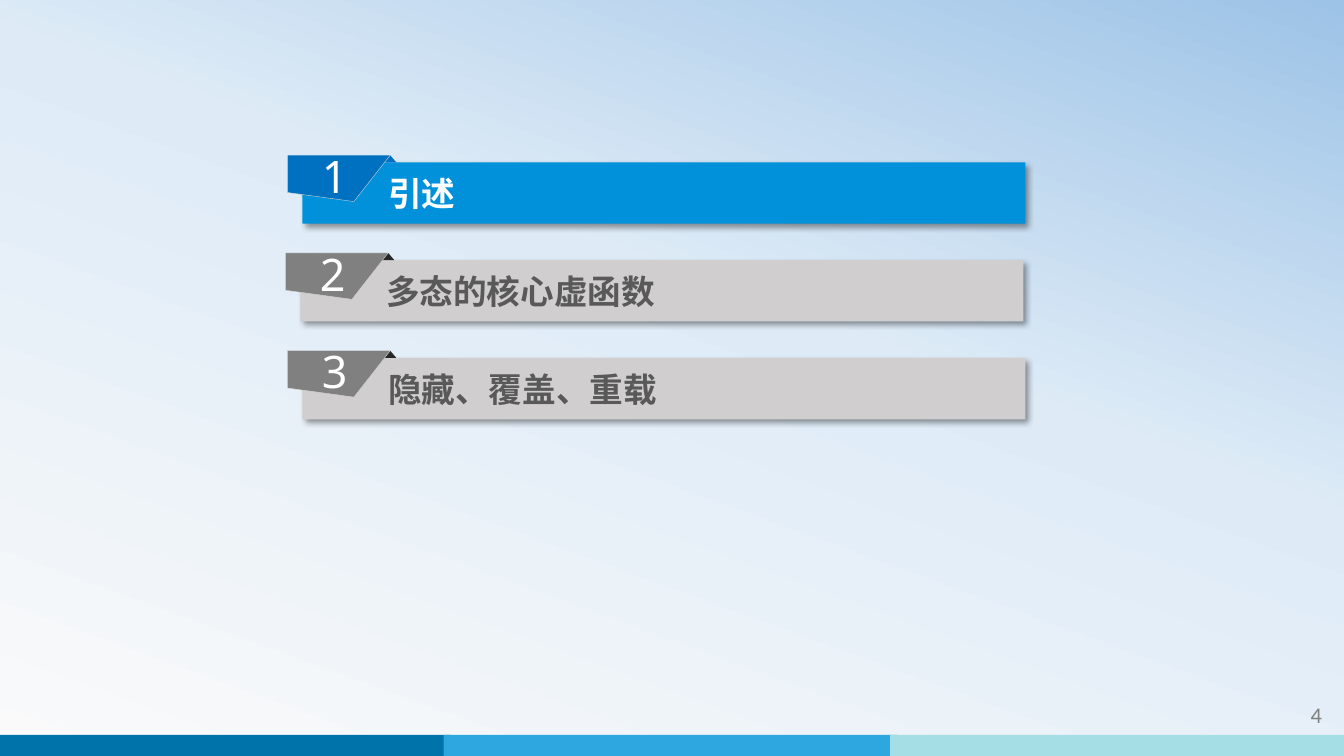
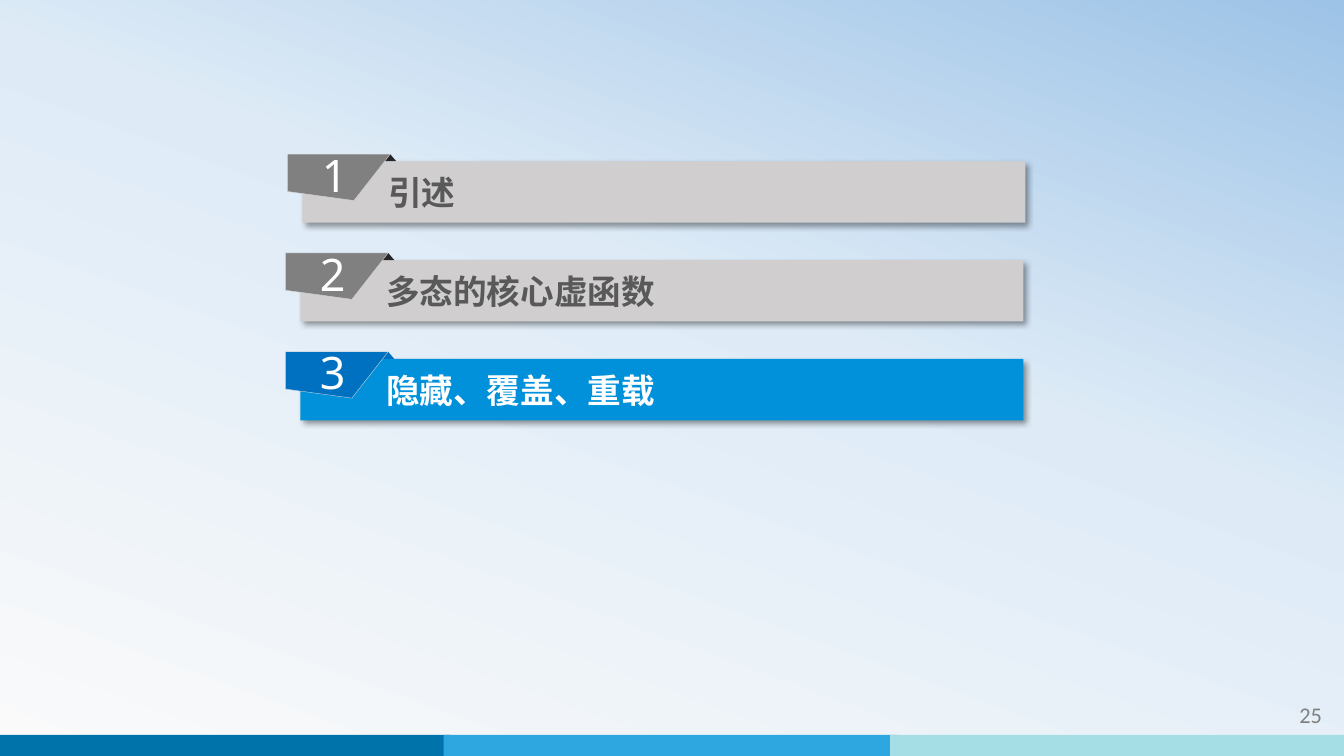
from lxml.etree import SubElement
from pptx import Presentation
from pptx.dml.color import RGBColor
from pptx.enum.shapes import MSO_SHAPE
from pptx.enum.text import MSO_ANCHOR, PP_ALIGN
from pptx.oxml.ns import qn
from pptx.util import Inches, Pt

COLORS = {
    "band_dark": "0073AB", "band_mid": "2EA7E0", "band_light": "A5DEE4",
    "active_bar": "0091DA", "active_tab": "0070C0",
    "idle_bar": "D0CECE", "idle_tab": "808080", "idle_fold": "262626",
    "idle_text": "595959", "white": "FFFFFF", "tab_edge": "D9D9D9",
    "page": "808080", "shadow": "000000",
}
BACKGROUND_STOPS = [(0, "FAFAFA"), (58, "DEEBF7"), (100, "9DC3E6")]
BACKGROUND_ANGLE = 290
BANDS = [(-0.03, "band_dark"), (4.4, "band_mid"), (8.83, "band_light")]

TOPICS = ["引述", "多态的核心虚函数", "隐藏、覆盖、重载"]
# Page number, active topic, first bar top, bar pitch, bar lefts
AGENDAS = [
    (4, 1, 1.61, 0.97, (3, 2.98, 3)),
    (25, 3, 1.6, 0.98, (3, 2.98, 2.98)),
]
TAB_OUTLINE = [(0, 0), (1.02, 0), (0.66, 0.46), (0, 0.37)]


def rgb(name):
    return RGBColor.from_string(COLORS[name])


def paint(shape, fill):
    shape.shadow.inherit = False
    shape.fill.solid()
    shape.fill.fore_color.rgb = rgb(fill)
    shape.line.fill.background()


def add_block(shapes, kind, left, top, width, height, fill):
    block = shapes.add_shape(
        kind, Inches(left), Inches(top), Inches(width), Inches(height))
    paint(block, fill)
    return block


def write(shape, text, font, size, color, align, bold=False):
    frame = shape.text_frame
    frame.word_wrap = True
    frame.text = text
    paragraph = frame.paragraphs[0]
    paragraph.alignment = align
    run = paragraph.runs[0]
    run.font.size = Pt(size)
    run.font.bold = bold
    run.font.color.rgb = rgb(color)
    run.font.name = font
    latin = run.font._element.find(qn("a:latin"))
    east_asian = latin.makeelement(qn("a:ea"), {"typeface": font})
    latin.addnext(east_asian)


def set_background(master):
    """Give every slide the diagonal gradient."""
    master.background.fill.gradient()
    gradient = master.element.find(".//" + qn("a:gradFill"))
    for child in list(gradient):
        gradient.remove(child)
    stops = SubElement(gradient, qn("a:gsLst"))
    for position, color in BACKGROUND_STOPS:
        stop = SubElement(stops, qn("a:gs"), pos=str(position * 1000))
        SubElement(stop, qn("a:srgbClr"), val=color)
    SubElement(gradient, qn("a:lin"),
               ang=str(BACKGROUND_ANGLE * 60000), scaled="0")


def add_drop_shadow(shape):
    effects = shape._element.spPr.find(qn("a:effectLst"))
    shadow = SubElement(
        effects, qn("a:outerShdw"), blurRad=str(Pt(4)), dist=str(Pt(3)),
        dir=str(45 * 60000), algn="tl", rotWithShape="0")
    color = SubElement(shadow, qn("a:srgbClr"), val=COLORS["shadow"])
    SubElement(color, qn("a:alpha"), val="40000")


def add_footer(slide, page):
    bands = slide.shapes.add_group_shape().shapes
    for left, color in BANDS:
        add_block(bands, MSO_SHAPE.RECTANGLE, left, 7.29, 4.5, 0.21, color)
    number = slide.shapes.add_textbox(
        Inches(11.62), Inches(6.91), Inches(1.59), Inches(0.4))
    write(number, str(page), "Calibri", 16, "page", PP_ALIGN.RIGHT)


def add_number_tab(shapes, left, top, number, fill):
    corners = [(Inches(left + x), Inches(top + y)) for x, y in TAB_OUTLINE]
    builder = shapes.build_freeform(*corners[0])
    builder.add_line_segments(corners[1:], close=True)
    tab = builder.convert_to_shape()
    paint(tab, fill)
    tab.line.color.rgb = rgb("tab_edge")
    tab.line.width = Pt(0.25)
    frame = tab.text_frame
    frame.vertical_anchor = MSO_ANCHOR.MIDDLE
    frame.margin_left, frame.margin_top = Inches(0.09), Inches(0.04)
    frame.margin_right, frame.margin_bottom = Inches(0.17), Inches(0.1)
    write(tab, str(number), "Noto Sans", 32, "white", PP_ALIGN.CENTER)


def add_topic(slide, left, top, number, topic, active):
    """Draw a topic bar with its folded number tab."""
    if active:
        bar_fill, tab_fill, fold_fill, text_color = (
            "active_bar", "active_tab", "active_tab", "white")
    else:
        bar_fill, tab_fill, fold_fill, text_color = (
            "idle_bar", "idle_tab", "idle_fold", "idle_text")
    shapes = slide.shapes.add_group_shape().shapes
    bar = add_block(shapes, MSO_SHAPE.RECTANGLE, left, top, 7.17, 0.61, bar_fill)
    add_drop_shadow(bar)
    bar.text_frame.margin_left = Inches(0.85)
    bar.text_frame.vertical_anchor = MSO_ANCHOR.MIDDLE
    write(bar, topic, "Noto Sans CJK SC", 24, text_color, PP_ALIGN.LEFT, bold=True)
    add_block(shapes, MSO_SHAPE.ISOSCELES_TRIANGLE,
              left + 0.81, top - 0.07, 0.12, 0.07, fold_fill)
    add_number_tab(shapes, left - 0.15, top - 0.07, number, tab_fill)


def main():
    prs = Presentation()
    prs.slide_width, prs.slide_height = Inches(13.33), Inches(7.5)
    set_background(prs.slide_master)
    for page, active, first_top, pitch, lefts in AGENDAS:
        slide = prs.slides.add_slide(prs.slide_layouts[6])
        add_footer(slide, page)
        for number, (topic, left) in enumerate(zip(TOPICS, lefts), start=1):
            top = first_top + (number - 1) * pitch
            add_topic(slide, left, top, number, topic, number == active)
    prs.save("out.pptx")


if __name__ == "__main__":
    main()
